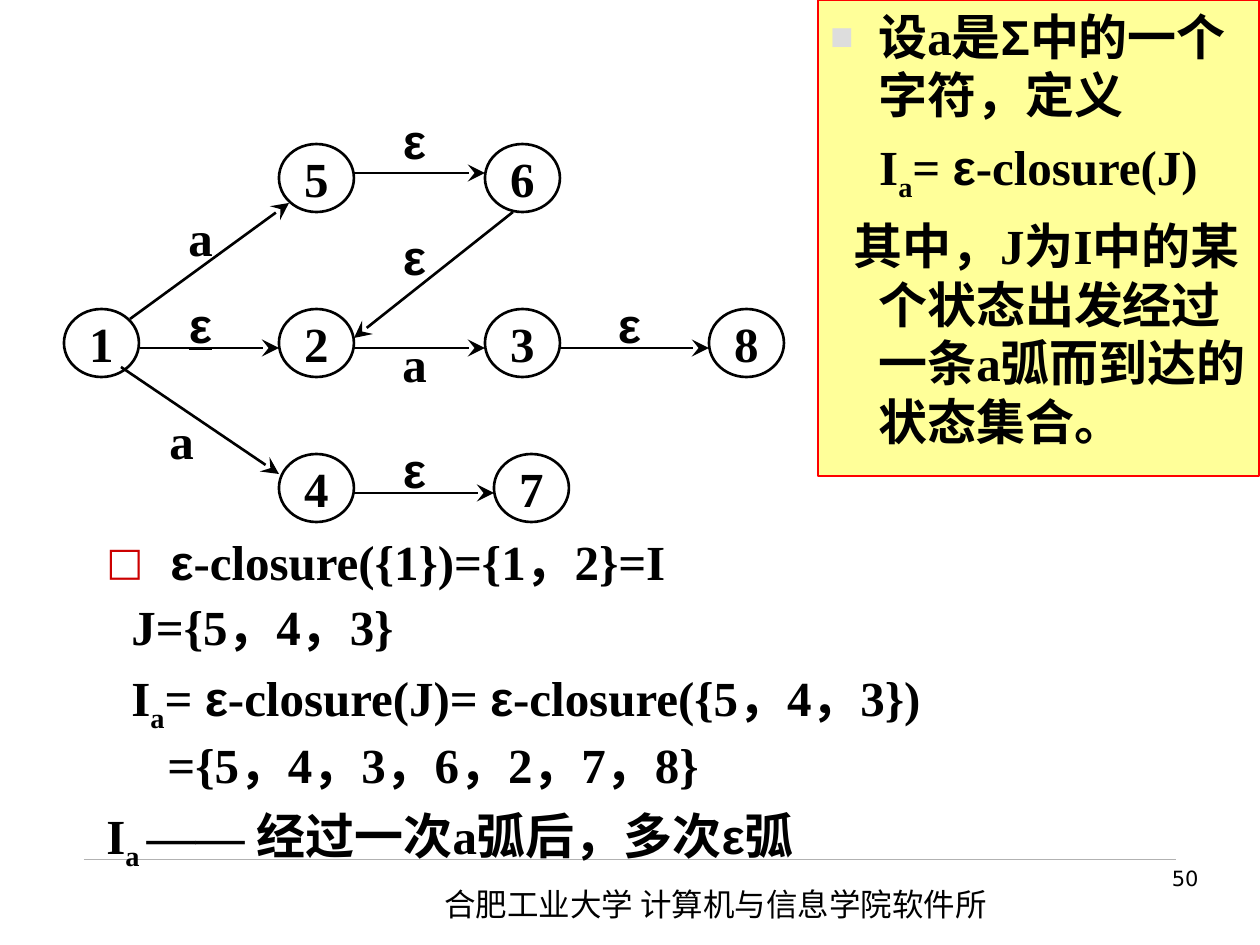
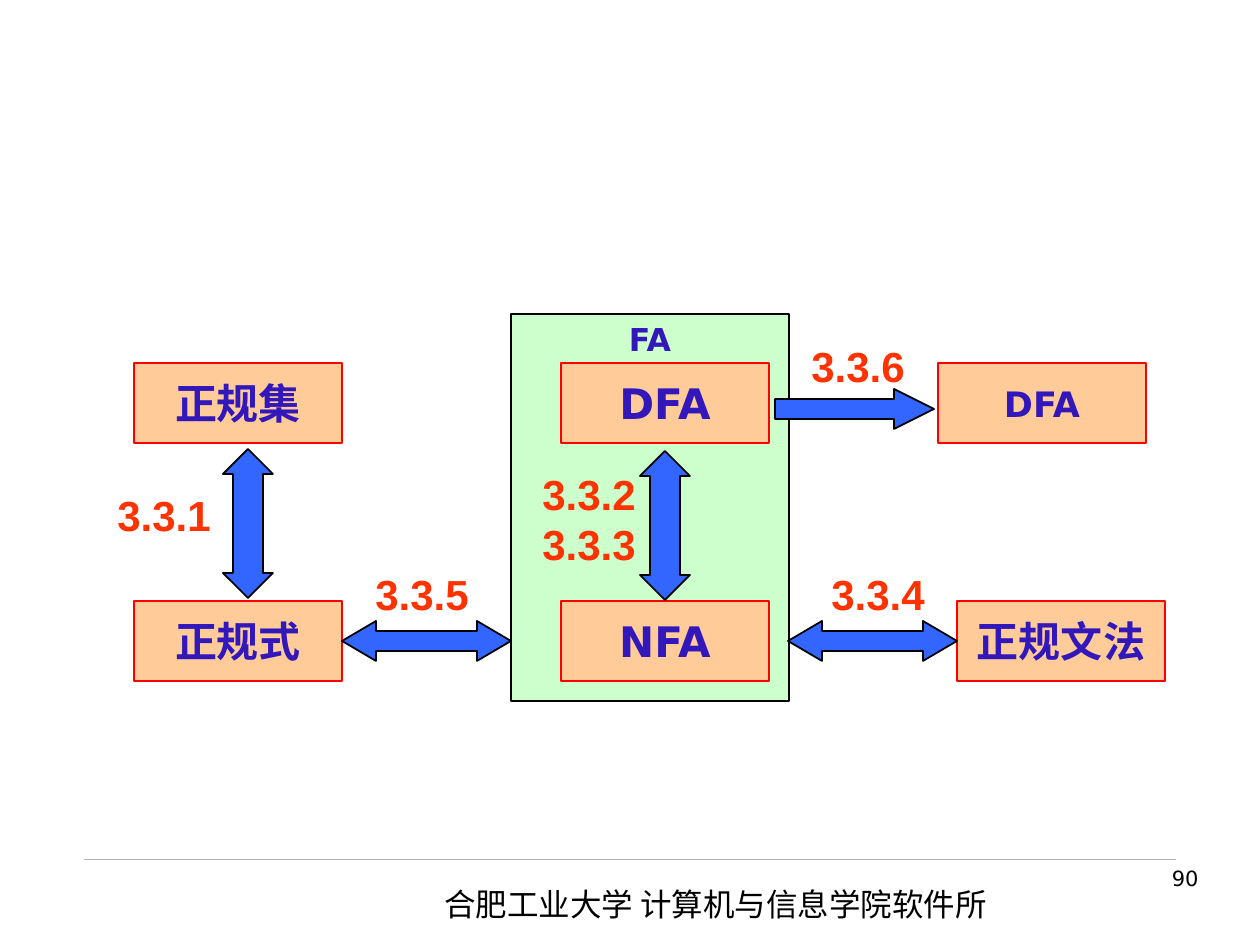
from dataclasses import dataclass
from itertools import groupby

from lxml import etree
from pptx import Presentation
from pptx import util as u
from pptx.dml.color import RGBColor
from pptx.enum import lang, shapes, text
from pptx.oxml.ns import qn

PX = 914400 / 126
KIND = shapes.MSO_SHAPE
ALIGN = text.PP_ALIGN
ANCHOR = text.MSO_ANCHOR


@dataclass(frozen=True)
class Theme:
    ink: str = "000000"
    rule: str = "B2B2B2"
    red: str = "FF0000"
    note: str = "FFFF99"
    dot: str = "DDDDDD"
    mark: str = "CC0000"
    zone: str = "CCFFCC"
    card: str = "FFCC99"
    name: str = "3217BB"
    arrow: str = "3366FF"
    ref: str = "FF3300"
    serif: str = "Times New Roman"
    sans: str = "Arial"
    wide: str = "DejaVu Sans"
    han: str = "Noto Sans CJK SC"
    big: int = 28
    mid: int = 24
    sub: int = 20
    small: int = 18
    tiny: int = 12


T = Theme()


def px(*nums):
    return [u.Emu(round(n * PX)) for n in nums]


def rgb(code):
    return RGBColor.from_string(code)


def add(parent, tag, **attrs):
    node = etree.SubElement(parent, qn(tag))
    for key, val in attrs.items():
        node.set(key, str(val))
    return node


def style(para, face, size, color=T.ink, bold=True, align=ALIGN.LEFT):
    para.alignment = align
    font = para.font
    font.name, font.size, font.bold = face, u.Pt(size), bold
    font.color.rgb = rgb(color)
    font.language_id = lang.MSO_LANGUAGE_ID.SIMPLIFIED_CHINESE
    east = T.wide if face == T.serif else face
    add(para._p.pPr.find(qn("a:defRPr")), "a:ea", typeface=east)


def write(para, words):
    """Add runs: ~x~ is a subscript, and Greek letters are sans."""
    for i, part in enumerate(words.split("~")):
        for greek, chars in groupby(part, lambda c: c in "εΣ"):
            run = para.add_run()
            run.text = "".join(chars)
            if greek:
                run.font.name = T.sans
            if i % 2:
                run._r.get_or_add_rPr().set("baseline", "-25000")


def indent(para, left, first, bullet=None):
    """Indent in px; bullet is a sign, its colour and its size in percent."""
    props = para._p.get_or_add_pPr()
    left, first = px(left, first)
    props.set("marL", str(left))
    props.set("indent", str(first - left))
    if bullet:
        sign, color, size = bullet
        add(add(props, "a:buClr"), "a:srgbClr", val=color)
        add(props, "a:buSzPct", val=size * 1000)
        add(props, "a:buFont", typeface=T.wide)
        add(props, "a:buChar", char=sign)


def fill(frame, lines, wrap=True, anchor=ANCHOR.TOP, **look):
    """Write plain lines that share one look."""
    frame.word_wrap, frame.vertical_anchor = wrap, anchor
    for i, line in enumerate(lines):
        para = frame.add_paragraph() if i else frame.paragraphs[0]
        style(para, **look)
        para.add_run().text = line


def flow(frame, rows, ratio=None):
    """Write rows of (words, left, first, bullet, align) as body text."""
    frame.word_wrap, frame.vertical_anchor = True, ANCHOR.TOP
    for i, (words, left, first, bullet, align) in enumerate(rows):
        para = frame.add_paragraph() if i else frame.paragraphs[0]
        indent(para, left, first, bullet)
        if ratio:
            para.line_spacing = ratio
        if i:
            para.space_before = u.Pt(7)
        style(para, T.serif, T.big, align=align)
        write(para, words)


def label(slide, box, *lines, **look):
    area = slide.shapes.add_textbox(*px(*box))
    fill(area.text_frame, lines, **look)
    return area.text_frame


def shape(slide, kind, box, back=None, edge=T.ink, width=1):
    item = slide.shapes.add_shape(kind, *px(*box))
    item.shadow.inherit = False
    if back:
        item.fill.solid()
        item.fill.fore_color.rgb = rgb(back)
    else:
        item.fill.background()
    item.line.color.rgb = rgb(edge)
    item.line.width = u.Pt(width)
    return item


def line(slide, ends, color=T.ink, width=1.5, tail=True):
    item = slide.shapes.add_connector(shapes.MSO_CONNECTOR.STRAIGHT, *px(*ends))
    item.line.color.rgb = rgb(color)
    item.line.width = u.Pt(width)
    if tail:
        add(item.line._get_or_add_ln(), "a:tailEnd", type="stealth", w="lg", len="lg")
    add(item._element.spPr, "a:effectLst")


def footer(slide, page):
    line(slide, (84, 859, 1176, 859), T.rule, 0.25, False)
    label(slide, (432, 879, 595, 50), "合肥工业大学 计算机与信息学院软件所",
          face=T.han, size=T.small, bold=False)
    label(slide, (937, 859, 274, 66), page,
          face=T.wide, size=T.tiny, bold=False, align=ALIGN.RIGHT)


def graph(slide, box):
    """State graph: circles, arcs and the letter on each arc."""
    x, y = box
    nodes = {"1": (0, 203), "2": (215, 203), "3": (421, 203), "8": (645, 203),
             "5": (215, 38), "6": (421, 38), "4": (215, 348), "7": (430, 348)}
    arcs = [((66, 213, 225, 97), "a", (85, 97)),
            ((290, 67, 421, 67), "ε", (299, 0)),
            ((449, 106, 290, 232), "ε", (299, 116)),
            ((76, 242, 215, 242), "ε", (85, 184)),
            ((290, 242, 421, 242), "a", (299, 223)),
            ((495, 242, 645, 242), "ε", (514, 184)),
            ((57, 261, 215, 368), "a", (66, 300)),
            ((290, 387, 430, 387), "ε", (299, 329))]
    look = dict(size=T.big, align=ALIGN.CENTER, wrap=False, anchor=ANCHOR.MIDDLE)
    for name, (dx, dy) in nodes.items():
        ring = shape(slide, KIND.OVAL, (x + dx, y + dy, 75, 68), width=1.5)
        fill(ring.text_frame, [name], face=T.serif, **look)
    for (x1, y1, x2, y2), sign, (dx, dy) in arcs:
        line(slide, (x + x1, y + y1, x + x2, y + y2))
        face = T.sans if sign == "ε" else T.serif
        frame = label(slide, (x + dx, y + dy, 103, 68), sign, face=face, **look)
        if (dx, dy) == (85, 184):
            frame.paragraphs[0].font.underline = True


def note(slide, box):
    card = shape(slide, KIND.RECTANGLE, box, T.note, T.red, 0.75)
    flow(card.text_frame, [
        ("设a是Σ中的一个字符，定义", 48, 0, ("■", T.dot, 50), ALIGN.LEFT),
        ("I~a~= ε-closure(J)", 0, 0, None, ALIGN.CENTER),
        ("其中，J为I中的某个状态出发经过一条a弧而到达的状态集合。",
         48, 23, None, ALIGN.LEFT)])


def steps(slide, box):
    area = slide.shapes.add_textbox(*px(*box))
    rows = [("ε-closure({1})={1，2}=I", 0, ("□", T.mark, 80)),
            ("J={5，4，3}", 25, None),
            ("I~a~= ε-closure(J)= ε-closure({5，4，3})", 25, None),
            ("={5，4，3，6，2，7，8}", 61, None),
            ("I~a ~—— 经过一次a弧后，多次ε弧", 0, None)]
    flow(area.text_frame,
         [(words, 64, first, dot, ALIGN.LEFT) for words, first, dot in rows], 0.9)


def chart(slide, box):
    """Map of the links between sets, grammars and automata."""
    x, y = box
    look = dict(face=T.wide, color=T.name, align=ALIGN.CENTER, wrap=False)
    zone = shape(slide, KIND.RECTANGLE, (x + 406, y, 278, 387), T.zone)
    fill(zone.text_frame, ["FA"], size=T.small, **look)

    high, low = 49, 287
    for name, dx, dy, size in [
            ("正规集", 29, high, T.mid), ("正规式", 29, low, T.mid),
            ("DFA", 456, high, T.mid), ("NFA", 456, low, T.mid),
            ("DFA", 833, high, T.sub), ("正规文法", 852, low, T.mid)]:
        card = shape(slide, KIND.RECTANGLE, (x + dx, y + dy, 208, 80), T.card, T.red)
        fill(card.text_frame, [name], size=size, anchor=ANCHOR.MIDDLE, **look)

    flat, tall = KIND.LEFT_RIGHT_ARROW, KIND.UP_DOWN_ARROW
    for kind, dx, dy, w, h, *pulls in [
            (flat, 237, 307, 169, 40, 0.5, 0.85), (flat, 683, 307, 169, 40, 0.5, 0.85),
            (tall, 118, 135, 50, 149, 0.6, 0.5), (tall, 535, 137, 50, 149, 0.6, 0.5),
            (KIND.RIGHT_ARROW, 670, 75, 159, 40, 0.5, 1)]:
        arrow = shape(slide, kind, (x + dx, y + dy, w, h), T.arrow)
        # the up-down arrow takes its two values in the other order
        shaft, head = pulls[::-1] if kind == tall else pulls
        arrow.adjustments[0], arrow.adjustments[1] = shaft, head

    for dx, dy, h, refs in [
            (0, 169, 63, ["3.3.1"]), (425, 148, 113, ["3.3.2", "3.3.3"]),
            (714, 248, 63, ["3.3.4"]), (258, 248, 63, ["3.3.5"]),
            (694, 20, 63, ["3.3.6"])]:
        frame = label(slide, (x + dx, y + dy, 118, h), *refs, face=T.sans,
                      size=T.mid, color=T.ref, align=ALIGN.CENTER, wrap=False)
        frame.margin_left = frame.margin_right = 0


def main():
    deck = Presentation()
    deck.slide_width, deck.slide_height = px(1260, 945)
    blank = deck.slide_layouts[6]

    first = deck.slides.add_slide(blank)
    footer(first, "50")
    steps(first, (94, 532, 1116, 348))
    graph(first, (64, 106))
    note(first, (818, 0, 441, 476))

    second = deck.slides.add_slide(blank)
    footer(second, "90")
    chart(second, (105, 314))

    deck.save("out.pptx")


if __name__ == "__main__":
    main()
